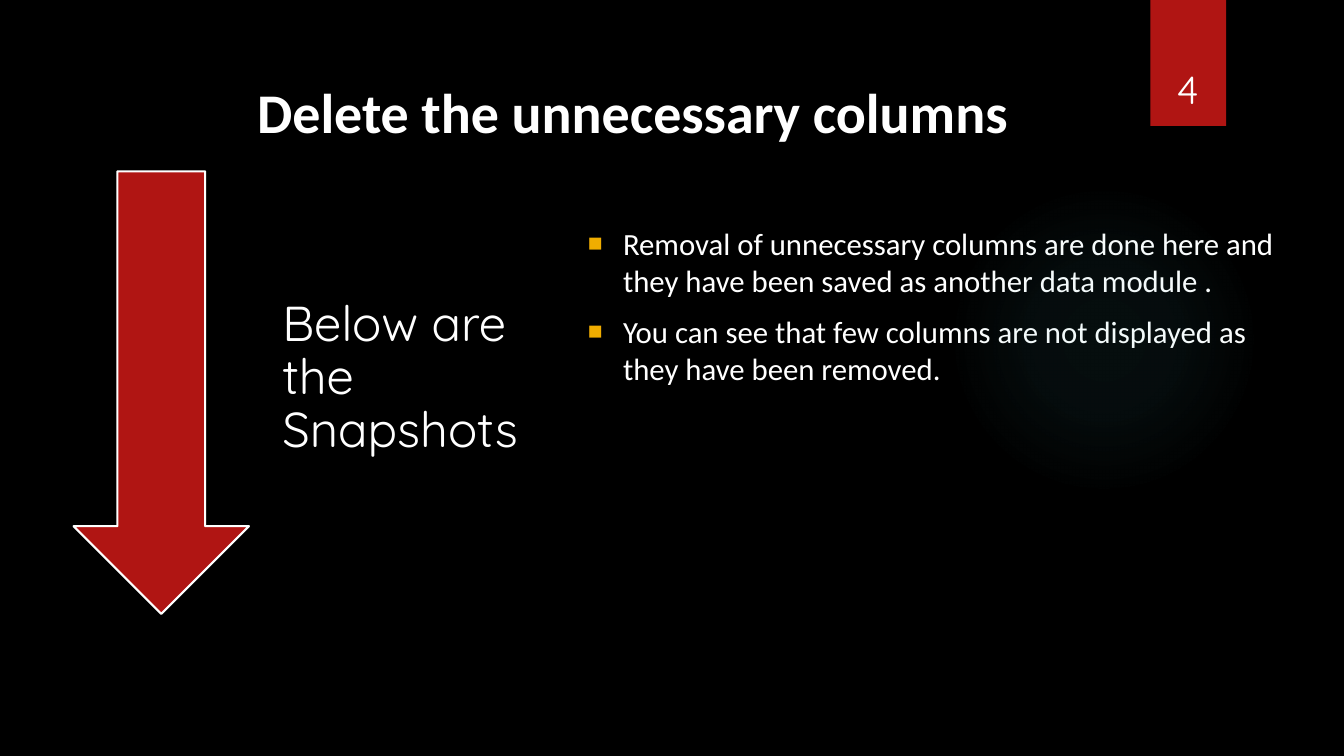
"""Build the slide on deleting unnecessary columns."""
import dataclasses

import lxml.etree
import pptx
import pptx.dml.color
import pptx.enum.shapes
import pptx.enum.text
import pptx.oxml
import pptx.oxml.ns
import pptx.util

SHAPE = pptx.enum.shapes.MSO_SHAPE
ALIGN = pptx.enum.text.PP_ALIGN
ANCHOR = pptx.enum.text.MSO_ANCHOR


@dataclasses.dataclass(frozen=True)
class Theme:
    background: str = "000000"
    text: str = "FFFFFF"
    accent: str = "B01513"
    bullet: str = "F0AD00"
    glow: str = "50B9C1"
    main_font: str = "Calibri"
    side_font: str = "Quicksand"
    title_size: int = 40
    label_size: int = 35
    number_size: int = 28
    body_size: int = 22


THEME = Theme()
WIDTH, HEIGHT = pptx.util.Inches(13.33), pptx.util.Inches(7.5)


def color(value):
    return pptx.dml.color.RGBColor.from_string(value)


def area(left, top, width, height):
    """Turn percentages of the slide into left, top, width and height."""
    sides = ((left, WIDTH), (top, HEIGHT), (width, WIDTH), (height, HEIGHT))
    return [round(share * length / 100) for share, length in sides]


def write(box, *texts, size, font=THEME.main_font, bold=False, align=ALIGN.LEFT,
          anchor=ANCHOR.TOP, insets=(0.1, 0.05, 0.1, 0.05), before=0, spacing=1.0):
    """Fill a box with one formatted paragraph for each text."""
    frame = box.text_frame
    frame.word_wrap = True
    frame.auto_size = pptx.enum.text.MSO_AUTO_SIZE.NONE
    frame.vertical_anchor = anchor
    frame.margin_left, frame.margin_top, frame.margin_right, frame.margin_bottom = map(
        pptx.util.Inches, insets)
    for index, text in enumerate(texts):
        para = frame.add_paragraph() if index else frame.paragraphs[0]
        para.alignment = align
        para.space_before = pptx.util.Pt(before)
        para.space_after = pptx.util.Pt(0)
        para.line_spacing = spacing
        span = para.add_run()
        span.text = text
        span.font.name = font
        span.font.size = pptx.util.Pt(size)
        span.font.bold = bold
        span.font.color.rgb = color(THEME.text)
    return frame


def add_bullets(frame, left=0.48, hanging=0.35):
    """Give every paragraph a coloured square bullet."""
    for para in frame.paragraphs:
        properties = para._p.get_or_add_pPr()
        properties.set("marL", str(pptx.util.Inches(left)))
        properties.set("indent", str(-pptx.util.Inches(hanging)))
        bullet = pptx.oxml.parse_xml(
            f'<a:pPr {pptx.oxml.ns.nsdecls("a")}>'
            f'<a:buClr><a:srgbClr val="{THEME.bullet}"/></a:buClr>'
            '<a:buSzPct val="80000"/><a:buFont typeface="Arial"/><a:buChar char="■"/></a:pPr>')
        properties.extend(list(bullet))


def add_shape(page, kind, place, fill=None, line_width=None):
    """Add a preset shape without shadow."""
    shape = page.shapes.add_shape(kind, *area(*place))
    shape.shadow.inherit = False
    if fill:
        shape.fill.solid()
        shape.fill.fore_color.rgb = color(fill)
    if line_width:
        shape.line.color.rgb = color(THEME.text)
        shape.line.width = pptx.util.Pt(line_width)
    else:
        shape.line.fill.background()
    return shape


def add_glow(page, place):
    """Add a circle that fades out from its centre."""
    circle = add_shape(page, SHAPE.OVAL, place)
    circle.fill.gradient()
    gradient = circle.fill._xPr.find(pptx.oxml.ns.qn("a:gradFill"))
    for child in list(gradient):
        gradient.remove(child)
    stops = "".join(
        f'<a:gs pos="{position * 1000}"><a:srgbClr val="{THEME.glow}">'
        f'<a:alpha val="{opacity * 1000}"/></a:srgbClr></a:gs>'
        for position, opacity in ((0, 7), (36, 6), (69, 0), (100, 0)))
    parts = lxml.etree.fromstring(
        f'<a:gradFill {pptx.oxml.ns.nsdecls("a")}><a:gsLst>{stops}</a:gsLst>'
        '<a:path path="circle"><a:fillToRect l="50000" t="50000" r="50000" b="50000"/>'
        '</a:path></a:gradFill>')
    gradient.extend(list(parts))


def add_text(page, place, text, **style):
    """Add a text box with formatted text."""
    return write(page.shapes.add_textbox(*area(*place)), text, **style)


def fill_placeholder(box, place, *texts, **style):
    """Move a placeholder and write formatted text in it."""
    box.left, box.top, box.width, box.height = area(*place)
    return write(box, *texts, **style)


def main():
    deck = pptx.Presentation()
    deck.slide_width, deck.slide_height = WIDTH, HEIGHT
    page = deck.slides.add_slide(deck.slide_layouts[1])
    page.background.fill.solid()
    page.background.fill.fore_color.rgb = color(THEME.background)

    add_glow(page, (70.59, 24.4, 23.11, 41.07))
    add_shape(page, SHAPE.RECTANGLE, (85.6, 0, 5.63, 16.67), THEME.accent)
    add_text(page, (84.92, 4.27, 6.9, 11.2), "4", size=THEME.number_size,
             font=THEME.side_font, align=ALIGN.CENTER, anchor=ANCHOR.BOTTOM)

    title, body = page.placeholders
    fill_placeholder(title, (18.38, 8.53, 63.24, 11.33), "Delete the unnecessary columns",
                     size=THEME.title_size, bold=True, anchor=ANCHOR.BOTTOM,
                     insets=(0.1, 0.05, 0.05, 0.05))
    points = fill_placeholder(
        body, (42.31, 28.4, 54.91, 43.07),
        "Removal of unnecessary columns are done here and they have been saved as "
        "another data module .",
        "You can see that few columns are not displayed as they have been removed.",
        size=THEME.body_size, insets=(0.06, 0.1, 0.1, 0.05), before=10)
    add_bullets(points)

    add_shape(page, SHAPE.DOWN_ARROW, (5.48, 22.67, 13.05, 58.53), THEME.accent, 1.5)
    add_text(page, (18.98, 22.67, 22.21, 58.53), "Below are the Snapshots",
             size=THEME.label_size, font=THEME.side_font, anchor=ANCHOR.MIDDLE,
             insets=(0.27, 0, 0.27, 0.27), spacing=0.9)
    deck.save("out.pptx")


if __name__ == "__main__":
    main()
